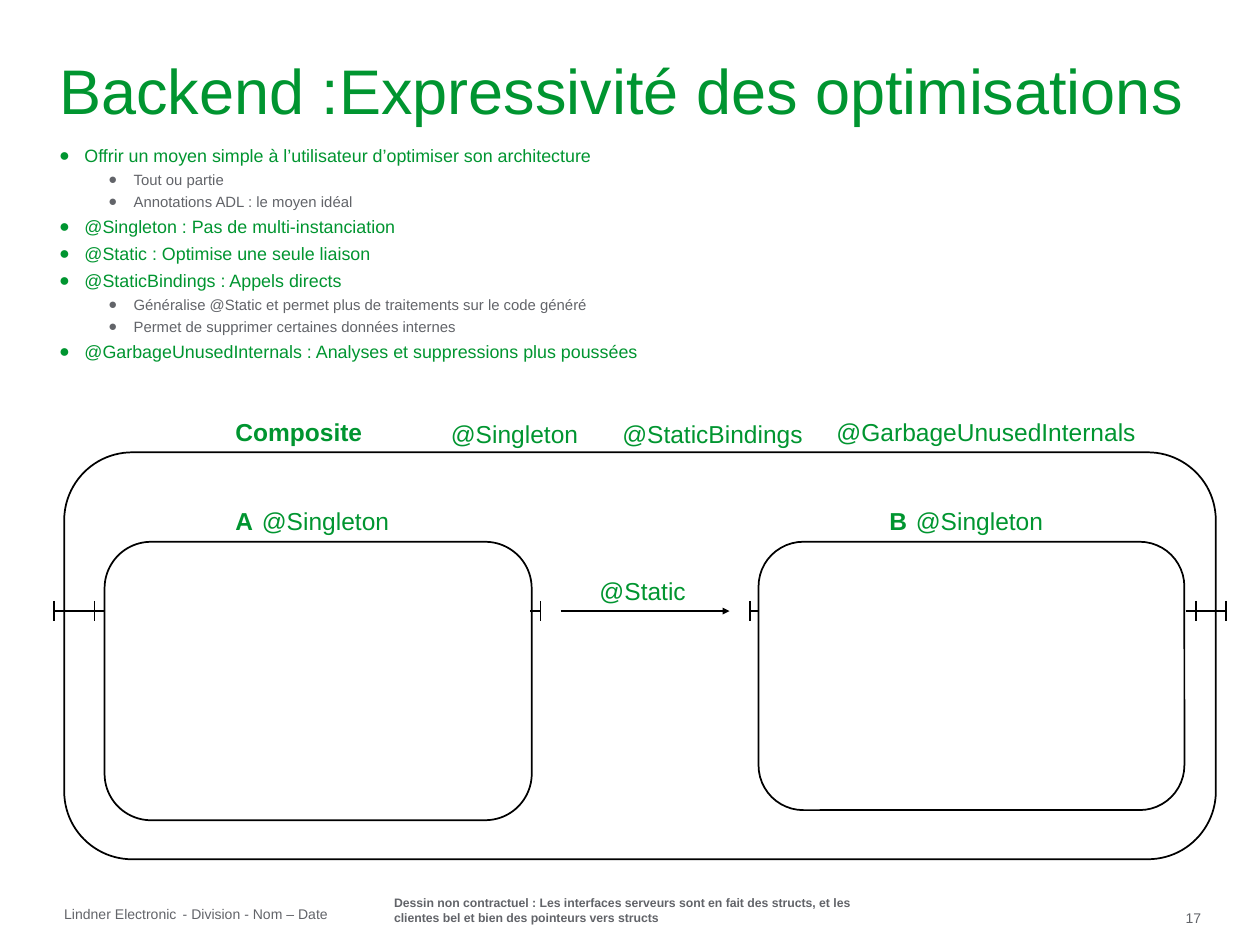
from lxml.etree import SubElement
from pptx import Presentation
from pptx.dml.color import RGBColor
from pptx.enum.shapes import MSO_CONNECTOR, MSO_SHAPE
from pptx.enum.text import MSO_ANCHOR, MSO_AUTO_SIZE, PP_ALIGN
from pptx.oxml.ns import qn
from pptx.util import Inches, Pt

GREEN = RGBColor(0x00, 0x95, 0x30)
GREY = RGBColor(0x62, 0x64, 0x69)
BLACK = RGBColor(0, 0, 0)
FONT = "Arial"

TITLE = "Backend :Expressivité des optimisations"
POINTS = [
    (0, "Offrir un moyen simple à l’utilisateur d’optimiser son architecture"),
    (1, "Tout ou partie"),
    (1, "Annotations ADL : le moyen idéal"),
    (0, "@Singleton : Pas de multi-instanciation"),
    (0, "@Static : Optimise une seule liaison"),
    (0, "@StaticBindings : Appels directs"),
    (1, "Généralise @Static et permet plus de traitements sur le code généré"),
    (1, "Permet de supprimer certaines données internes"),
    (0, "@GarbageUnusedInternals : Analyses et suppressions plus poussées"),
]
LEVELS = [
    {"size": 10.2, "color": GREEN, "indent": 0.2, "before": 3},
    {"size": 8.5, "color": GREY, "indent": 0.59, "before": 2.5},
]
BULLET_HANG = 0.2

COMPOSITE = (0.51, 3.59, 9.14, 3.23)
COMPONENTS = [("A", (0.83, 4.3, 3.39, 2.21)), ("B", (6.02, 4.3, 3.38, 2.13))]
ANNOTATIONS = [
    ("Composite", 1.77, 3.26, 1.21, True),
    ("@Singleton", 3.48, 3.28, 1.21, False),
    ("@StaticBindings", 4.84, 3.28, 1.65, False),
    ("@GarbageUnusedInternals", 6.54, 3.26, 2.71, False),
    ("@Static", 4.66, 4.52, 0.9, False),
]
LINK_Y = 4.85
LINKS = [(0.43, 0.83), (4.21, 4.29), (5.95, 6.02), (9.41, 9.73)]
PORTS = [0.43, 0.75, 4.29, 5.95, 9.49, 9.73]
PORT_HALF = 0.08
BINDING = (4.45, 5.79)

FOOTERS = [
    ("Lindner Electronic", 0.51, 7.19, 0.9, 0.13, False),
    ("- Division - Nom – Date", 1.45, 7.19, 1.19, 0.13, False),
    ("17", 9.41, 7.22, 0.32, 0.08, True),
]
DISCLAIMER = ("Dessin non contractuel : Les interfaces serveurs sont en fait des structs, "
              "et les clientes bel et bien des pointeurs vers structs")


def place(shape, *box):
    shape.left, shape.top, shape.width, shape.height = map(Inches, box)


def set_margins(frame, *margins):
    (frame.margin_left, frame.margin_top,
     frame.margin_right, frame.margin_bottom) = map(Inches, margins)


def write(paragraph, text, size, color, bold=False):
    run = paragraph.add_run()
    run.text = text
    run.font.name = FONT
    run.font.size = Pt(size)
    run.font.bold = bold
    run.font.color.rgb = color


def add_label(text, box, size=14, color=GREEN, bold=False, margins=(0.1, 0.05, 0.1, 0.05),
              wrap=False):
    frame = slide.shapes.add_textbox(*map(Inches, box)).text_frame
    frame.word_wrap = wrap
    frame.auto_size = MSO_AUTO_SIZE.NONE if wrap else MSO_AUTO_SIZE.SHAPE_TO_FIT_TEXT
    set_margins(frame, *margins)
    write(frame.paragraphs[0], text, size, color, bold)


def add_frame(box):
    frame = slide.shapes.add_shape(MSO_SHAPE.ROUNDED_RECTANGLE, *map(Inches, box))
    frame.adjustments[0] = 0.167
    frame.shadow.inherit = False
    frame.fill.background()
    frame.line.color.rgb = BLACK
    frame.line.width = Pt(1)


def add_line(x1, y1, x2, y2, arrow=False):
    line = slide.shapes.add_connector(MSO_CONNECTOR.STRAIGHT, *map(Inches, (x1, y1, x2, y2)))
    line.line.color.rgb = BLACK
    line.line.width = Pt(1)
    if arrow:
        SubElement(line.line._get_or_add_ln(), qn("a:tailEnd"),
                   type="triangle", w="sm", len="sm")
    SubElement(line._element.spPr, qn("a:effectLst"))


def add_bullet(paragraph, indent, color):
    props = paragraph._p.get_or_add_pPr()
    props.set("marL", str(Inches(indent)))
    props.set("indent", str(-Inches(BULLET_HANG)))
    SubElement(SubElement(props, qn("a:buClr")), qn("a:srgbClr"), val=str(color))
    SubElement(props, qn("a:buFont"), typeface=FONT)
    SubElement(props, qn("a:buChar"), char="●")


prs = Presentation()
prs.slide_width, prs.slide_height = Inches(10), Inches(7.5)
slide = prs.slides.add_slide(prs.slide_layouts[1])

title = slide.shapes.title
place(title, 0.47, 0.08, 9.06, 1.26)
heading = title.text_frame
heading.auto_size = MSO_AUTO_SIZE.NONE
heading.vertical_anchor = MSO_ANCHOR.MIDDLE
set_margins(heading, 0, 0.01, 0, 0.01)
heading.paragraphs[0].alignment = PP_ALIGN.LEFT
write(heading.paragraphs[0], TITLE, 36, GREEN)

body = slide.placeholders[1]
place(body, 0.47, 1.15, 7.99, 1.73)
points = body.text_frame
points.auto_size = MSO_AUTO_SIZE.NONE
set_margins(points, 0, 0, 0.02, 0.01)
for index, (level, text) in enumerate(POINTS):
    style = LEVELS[level]
    point = points.add_paragraph() if index else points.paragraphs[0]
    point.level = level
    add_bullet(point, style["indent"], style["color"])
    point.space_before = Pt(style["before"] if index else 0)
    write(point, text, style["size"], style["color"])

add_frame(COMPOSITE)
for name, box in COMPONENTS:
    add_frame(box)
    label_left, label_top = box[0] + 0.94, box[1] - 0.33
    add_label(name, (label_left, label_top, 0.34, 0.34), bold=True)
    add_label("@Singleton", (label_left + 0.21, label_top, 1.21, 0.34))

for text, left, top, width, bold in ANNOTATIONS:
    add_label(text, (left, top, width, 0.34), bold=bold)

for start, end in LINKS:
    add_line(start, LINK_Y, end, LINK_Y)
for x in PORTS:
    add_line(x, LINK_Y - PORT_HALF, x, LINK_Y + PORT_HALF)
add_line(BINDING[0], LINK_Y, BINDING[1], LINK_Y, arrow=True)

for text, *box, wrap in FOOTERS:
    add_label(text, box, size=8, color=GREY, margins=(0, 0, 0, 0), wrap=wrap)
add_label(DISCLAIMER, (3.03, 7.06, 4.17, 0.34), size=7, color=GREY, bold=True, wrap=True)

prs.save("out.pptx")
